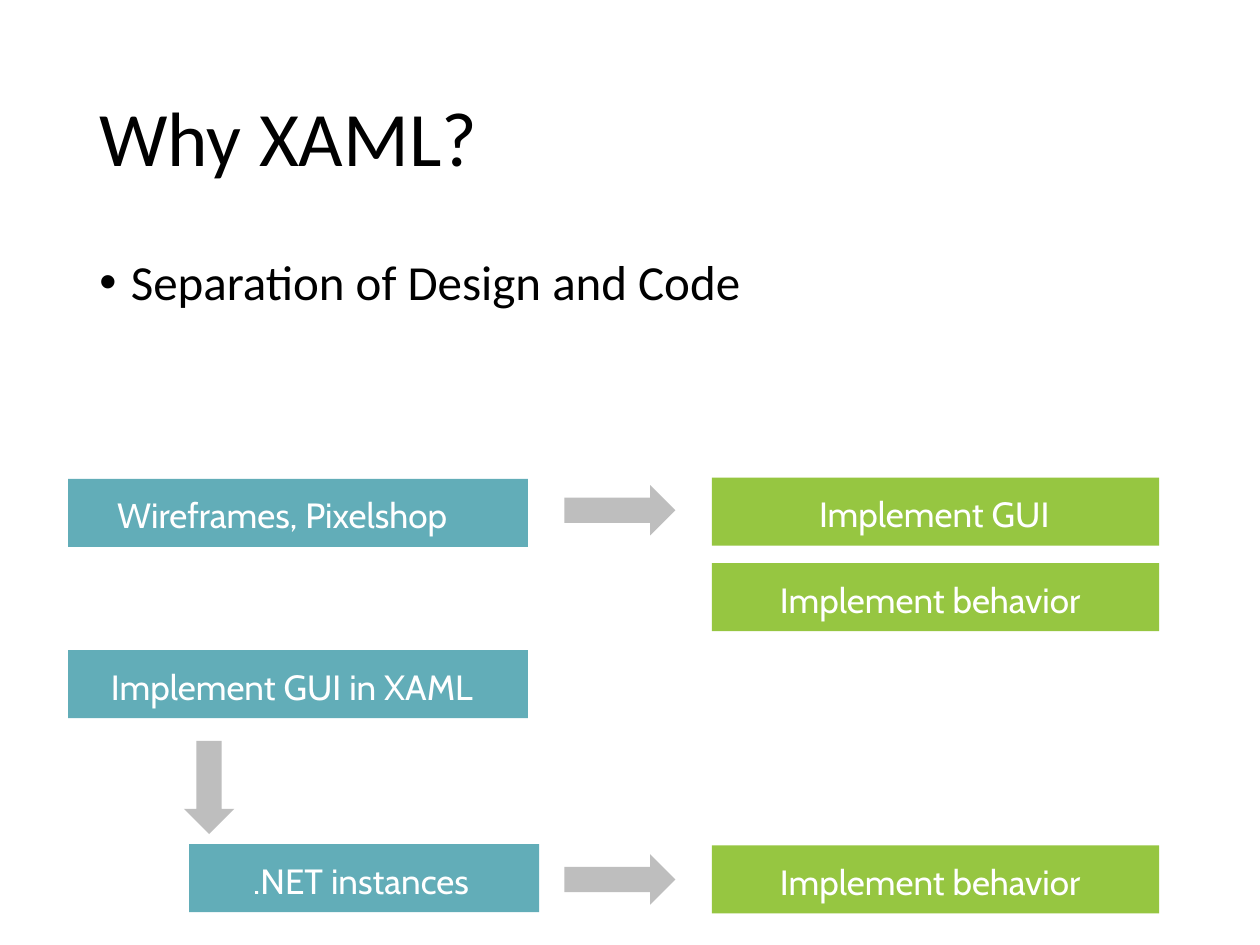
from dataclasses import dataclass

from lxml.etree import SubElement
from pptx import Presentation
from pptx.dml.color import RGBColor
from pptx.enum.shapes import MSO_SHAPE as Preset
from pptx.enum.text import MSO_ANCHOR as Anchor, PP_ALIGN as Align
from pptx.oxml.ns import qn
from pptx.util import Emu, Inches, Pt

COLUMNS, ROWS = 100, 75
TEAL, GREEN, GRAY = "62ADB8", "96C641", "BEBEBE"
WHITE, BLACK = "FFFFFF", "000000"


@dataclass(frozen=True)
class Area:
    column: float
    row: float
    columns: float
    rows: float


@dataclass(frozen=True)
class Step:
    text: str
    area: Area
    color: str
    indent: float


@dataclass(frozen=True)
class Arrow:
    preset: Preset
    area: Area


@dataclass(frozen=True)
class Heading:
    text: str
    area: Area
    size: int
    anchor: Anchor
    bullet: str = ""


def design_step(text: str, row: float, indent: float) -> Step:
    return Step(text, Area(5.4, row, 36.5, 5.4), TEAL, indent)


def code_step(text: str, row: float, indent: float) -> Step:
    return Step(text, Area(56.5, row, 35.5, 5.4), GREEN, indent)


HEADINGS = [
    Heading("Why XAML?", Area(6.9, 4, 86.2, 14.5), 44, Anchor.MIDDLE),
    Heading("Separation of Design and Code", Area(6.9, 20, 86.2, 6.7), 28,
            Anchor.TOP, "•"),
]
STEPS = [
    design_step("Wireframes, Pixelshop", 38, 3.9),
    code_step("Implement GUI", 37.9, 8.5),
    code_step("Implement behavior", 44.7, 5.4),
    design_step("Implement GUI in XAML", 51.6, 3.4),
    Step(".NET instances", Area(15, 67, 27.8, 5.4), TEAL, 5.1),
    code_step("Implement behavior", 67.1, 5.4),
]
ARROWS = [
    Arrow(Preset.RIGHT_ARROW, Area(44.8, 38.5, 8.8, 4)),
    Arrow(Preset.DOWN_ARROW, Area(14.6, 58.8, 4, 7.4)),
    Arrow(Preset.RIGHT_ARROW, Area(44.8, 67.8, 8.8, 4)),
]


def color_of(value: str) -> RGBColor:
    return RGBColor.from_string(value)


def apply(target, values: dict) -> None:
    for name, value in values.items():
        setattr(target, name, value)


def place(deck, area: Area) -> tuple[Emu, Emu, Emu, Emu]:
    column, row = deck.slide_width / COLUMNS, deck.slide_height / ROWS
    return (Emu(round(area.column * column)), Emu(round(area.row * row)),
            Emu(round(area.columns * column)), Emu(round(area.rows * row)))


def write(para, text: str, font: str, size: int, color: str) -> None:
    span = para.add_run()
    span.text = text
    apply(span.font, {"name": font, "size": Pt(size)})
    span.font.color.rgb = color_of(color)


def add_heading(deck, page, heading: Heading) -> None:
    box = page.shapes.add_textbox(*place(deck, heading.area))
    apply(box.text_frame,
          {"word_wrap": True, "vertical_anchor": heading.anchor})
    para = box.text_frame.paragraphs[0]
    para.line_spacing = 0.9
    if heading.bullet:
        properties = para._p.get_or_add_pPr()
        properties.set("marL", str(Inches(0.25)))
        properties.set("indent", str(-Inches(0.25)))
        SubElement(properties, qn("a:buFont"), typeface="Arial")
        SubElement(properties, qn("a:buChar"), char=heading.bullet)
    write(para, heading.text, "Calibri", heading.size, BLACK)


def add_filled(deck, page, preset: Preset, area: Area, color: str):
    shape = page.shapes.add_shape(preset, *place(deck, area))
    shape.shadow.inherit = False
    shape.fill.solid()
    shape.fill.fore_color.rgb = color_of(color)
    shape.line.fill.background()
    return shape


def add_step(deck, page, step: Step) -> None:
    box = add_filled(deck, page, Preset.RECTANGLE, step.area, step.color)
    apply(box.text_frame, {
        "word_wrap": True,
        "vertical_anchor": Anchor.TOP,
        "margin_left": Emu(round(step.indent * deck.slide_width / COLUMNS)),
        "margin_top": Inches(0.12),
        "margin_right": 0,
        "margin_bottom": 0,
    })
    para = box.text_frame.paragraphs[0]
    para.alignment = Align.LEFT
    write(para, step.text, "Cabin", 20, WHITE)


def main() -> None:
    deck = Presentation()
    apply(deck, {"slide_width": Inches(10), "slide_height": Inches(7.5)})
    page = deck.slides.add_slide(deck.slide_layouts[6])
    for heading in HEADINGS:
        add_heading(deck, page, heading)
    for step in STEPS:
        add_step(deck, page, step)
    for arrow in ARROWS:
        add_filled(deck, page, arrow.preset, arrow.area, GRAY)
    deck.save("out.pptx")


if __name__ == "__main__":
    main()
